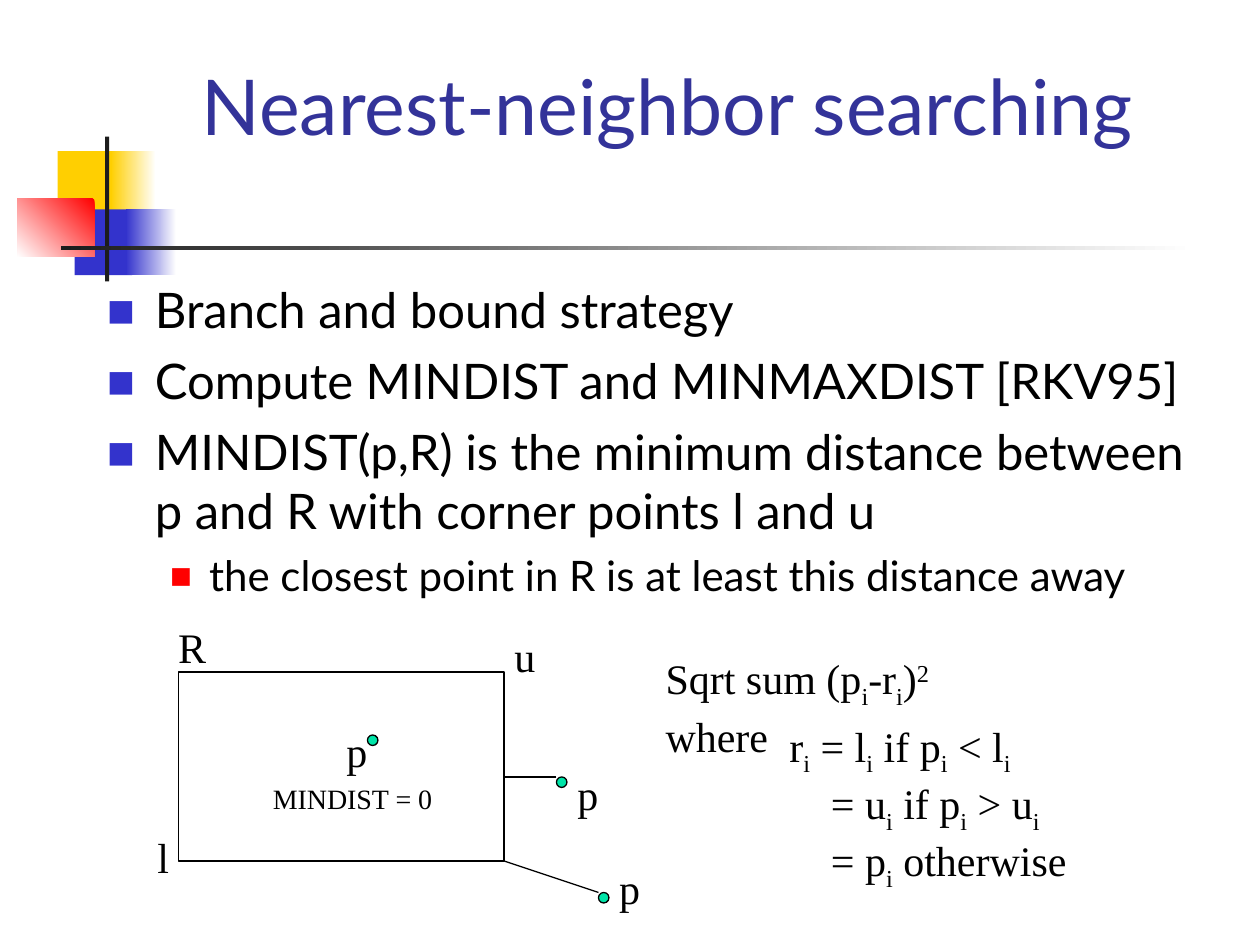
from dataclasses import dataclass

from lxml import etree
from pptx import Presentation
from pptx import util as u
from pptx.dml.color import RGBColor
from pptx.enum import shapes, text
from pptx.oxml.ns import qn


@dataclass(frozen=True)
class Theme:
    sans: str = "Lato"
    serif: str = "Times New Roman"
    title: str = "333399"
    ink: str = "000000"
    paper: str = "FFFFFF"
    yellow: str = "FFCF01"
    blue: str = "3333CC"
    red: str = "FF0000"
    rule: str = "1C1C1C"
    point: str = "00E4A8"
    title_size: int = 44
    body_size: int = 28
    text_size: int = 24
    note_size: int = 16
    line: float = 0.75


class Board:
    """Current slide and its style, on a grid of 120 columns by 90 rows."""
    COLS, ROWS = 120, 90

    def __init__(self, prs, theme):
        self.t = theme
        self.s = prs.slides.add_slide(prs.slide_layouts[1])
        self.dx = prs.slide_width / self.COLS
        self.dy = prs.slide_height / self.ROWS

    def box(self, x, y, w, h):
        return [u.Emu(round(v * d)) for v, d in
                zip((x, y, w, h), (self.dx, self.dy) * 2)]

    def run(self, p, words, font, size, color, shift=0):
        r = p.add_run()
        r.text = words
        r.font.name, r.font.size = font, u.Pt(size)
        r.font.color.rgb = RGBColor.from_string(color)
        if shift:
            r.font._element.set("baseline", str(shift * 1000))

    def place(self, sp, cells, anchor):
        sp.left, sp.top, sp.width, sp.height = self.box(*cells)
        tf = sp.text_frame
        tf.word_wrap, tf.auto_size = True, text.MSO_AUTO_SIZE.NONE
        tf.vertical_anchor = anchor
        return tf

    def title(self, words, cells):
        tf = self.place(self.s.shapes.title, cells, text.MSO_ANCHOR.BOTTOM)
        p = tf.paragraphs[0]
        p.alignment = text.PP_ALIGN.LEFT
        self.run(p, words, self.t.sans, self.t.title_size, self.t.title)

    def bullets(self, items, cells):
        t = self.t
        # per level: size, indent, hanging, space before, bullet colour, bullet %
        levels = ((t.body_size, 0.38, 0.38, 7, t.blue, 60),
                  (t.text_size, 0.81, 0.31, 6, t.red, 55))
        tf = self.place(self.s.placeholders[1], cells, text.MSO_ANCHOR.TOP)
        for n, (level, words) in enumerate(items):
            size, indent, hang, gap, color, share = levels[level]
            p = tf.add_paragraph() if n else tf.paragraphs[0]
            p.level = level
            pPr = p._p.get_or_add_pPr()
            pPr.set("marL", str(u.Inches(indent)))
            pPr.set("indent", str(-u.Inches(hang)))
            clr = etree.SubElement(pPr, qn("a:buClr"))
            etree.SubElement(clr, qn("a:srgbClr"), val=color)
            etree.SubElement(pPr, qn("a:buSzPct"), val=str(share * 1000))
            etree.SubElement(pPr, qn("a:buFont"), typeface=t.sans)
            etree.SubElement(pPr, qn("a:buChar"), char="■")
            p.space_before = u.Pt(gap if n else 0)
            self.run(p, words, t.sans, size, t.ink)

    def shape(self, cells, fill=None, fade=None, outline=False,
              kind=shapes.MSO_SHAPE.RECTANGLE):
        """fade = (first colour, last colour, counter-clockwise angle)."""
        sp = self.s.shapes.add_shape(kind, *self.box(*cells))
        sp.shadow.inherit = False
        if fade:
            sp.fill.gradient()
            sp.fill.gradient_angle = fade[2]
            for stop, color in zip(sp.fill.gradient_stops, fade):
                stop.color.rgb = RGBColor.from_string(color)
        elif fill:
            sp.fill.solid()
            sp.fill.fore_color.rgb = RGBColor.from_string(fill)
        else:
            sp.fill.background()
        if outline:
            self.stroke(sp.line)
        else:
            sp.line.fill.background()

    def fade_out(self, cells, color):
        self.shape(cells, fade=(self.t.paper, color, 180))

    def dot(self, x, y):
        self.shape((x, y, 1, 1), self.t.point, outline=True,
                   kind=shapes.MSO_SHAPE.OVAL)

    def stroke(self, line):
        line.color.rgb = RGBColor.from_string(self.t.ink)
        line.width = u.Pt(self.t.line)

    def line(self, *ends):
        c = self.s.shapes.add_connector(shapes.MSO_CONNECTOR.STRAIGHT, *self.box(*ends))
        self.stroke(c.line)
        etree.SubElement(c._element.spPr, qn("a:effectLst"))

    def label(self, lines, cells, size=None, indents=(), tab=None):
        """Pieces between bars are raised if digits, otherwise lowered."""
        tf = self.s.shapes.add_textbox(*self.box(*cells)).text_frame
        tf.word_wrap, tf.auto_size = False, text.MSO_AUTO_SIZE.SHAPE_TO_FIT_TEXT
        for n, words in enumerate(lines):
            p = tf.add_paragraph() if n else tf.paragraphs[0]
            pPr = p._p.get_or_add_pPr()
            if indents:
                pPr.set("marL", str(u.Inches(indents[n])))
            if tab:
                tabs = etree.SubElement(pPr, qn("a:tabLst"))
                etree.SubElement(tabs, qn("a:tab"), pos=str(u.Inches(tab)), algn="l")
            for k, piece in enumerate(words.split("|")):
                shift = (30 if piece.isdigit() else -25) if k % 2 else 0
                if piece:
                    self.run(p, piece, self.t.serif, size or self.t.text_size,
                             self.t.ink, shift)


def main():
    prs = Presentation()
    prs.slide_width, prs.slide_height = u.Inches(10), u.Inches(7.5)
    t = Theme()
    b = Board(prs, t)

    # Corner ornament and title rule
    b.shape((5.5, 14.4, 5.8, 6.25), t.yellow)
    b.fade_out((10.55, 14.4, 4.3, 6.25), t.yellow)
    b.shape((7.1, 19.95, 5.5, 6.25), t.blue)
    b.fade_out((12, 19.95, 4.8, 6.25), t.blue)
    b.shape((1.65, 18.95, 7.35, 5.5), fade=(t.red, t.paper, 225))
    b.shape((10, 13, 0.4, 13.8), t.rule)
    b.fade_out((5.8, 23.4, 108, 0.4), t.rule)

    # Title and list
    b.title("Nearest-neighbor searching", (18, 4, 102, 11))
    b.bullets([
        (0, "Branch and bound strategy"),
        (0, "Compute MINDIST and MINMAXDIST [RKV95]"),
        (0, "MINDIST(p,R) is the minimum distance between p and R "
            "with corner points l and u"),
        (1, "the closest point in R is at least this distance away"),
    ], (9, 26, 107, 35))

    # Rectangle R, query points and their distances
    b.shape((17, 64, 31, 18), outline=True)
    for x, y in ((57, 85), (35, 70), (53, 74)):
        b.dot(x, y)
    b.line(53, 74, 48, 74)
    b.line(48, 82, 57, 85)

    # Diagram labels
    for name, x, y, w in (("p", 31.8, 68.5, 4.3), ("p", 53.8, 72.6, 4.3),
                          ("p", 57.8, 81.6, 4.3), ("R", 15.8, 58.6, 5),
                          ("l", 13.8, 78.6, 3.5), ("u", 47.8, 59.5, 4.3)):
        b.label([name], (x, y, w, 6))
    b.label(["MINDIST = 0"], (24.8, 73.8, 17.6, 4.4), t.note_size)

    # Formula
    b.label(["Sqrt sum (p|i|-r|i|)|2|\twhere"], (62.2, 61.6, 39, 6.7), tab=2.24)
    b.label(["r|i| = l|i| if p|i| < l|i|", "= u|i| if p|i| > u|i|",
             "= p|i| otherwise"], (74, 68, 28.8, 17.6), indents=(0, 0.33, 0.33))

    prs.save("out.pptx")


if __name__ == "__main__":
    main()
